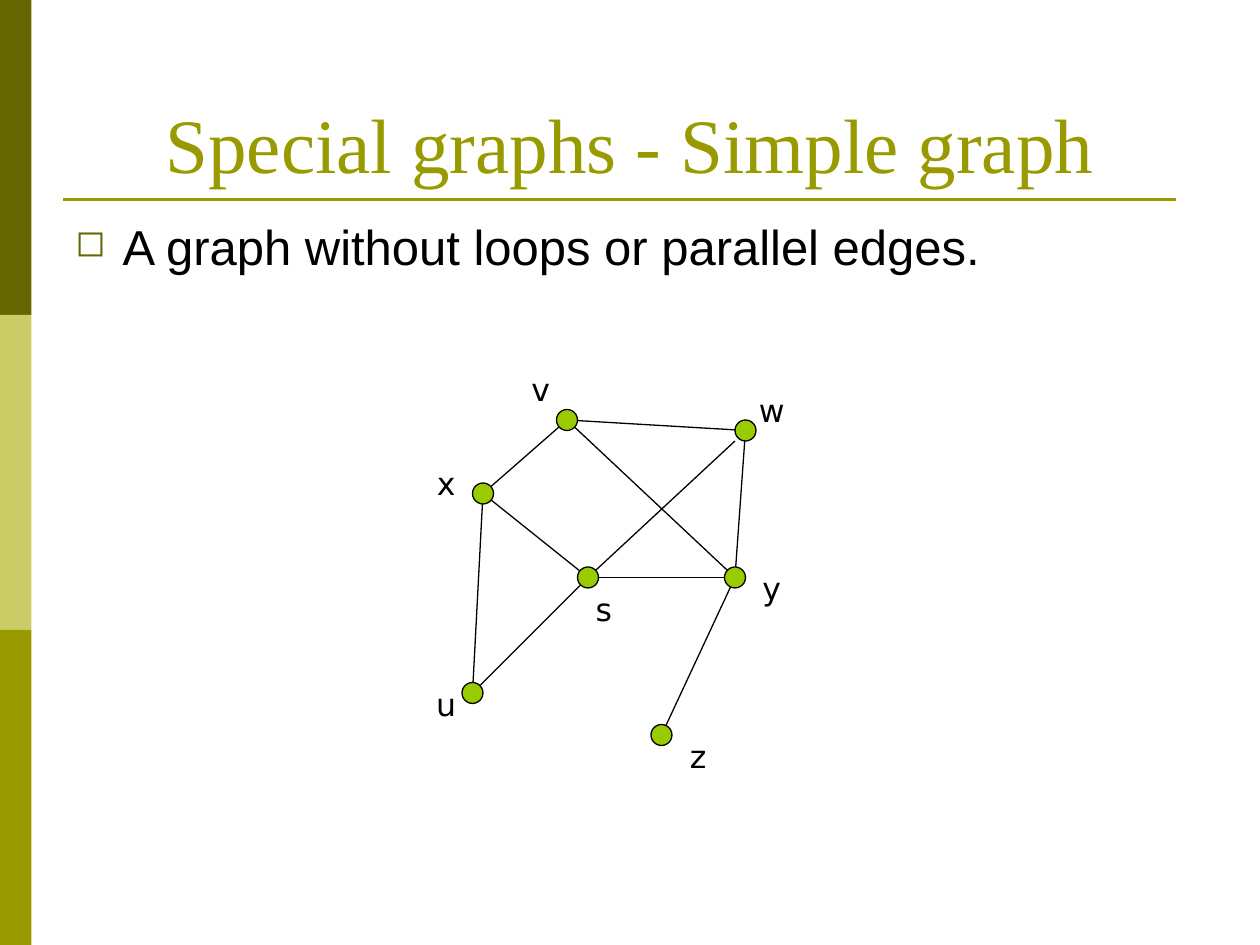
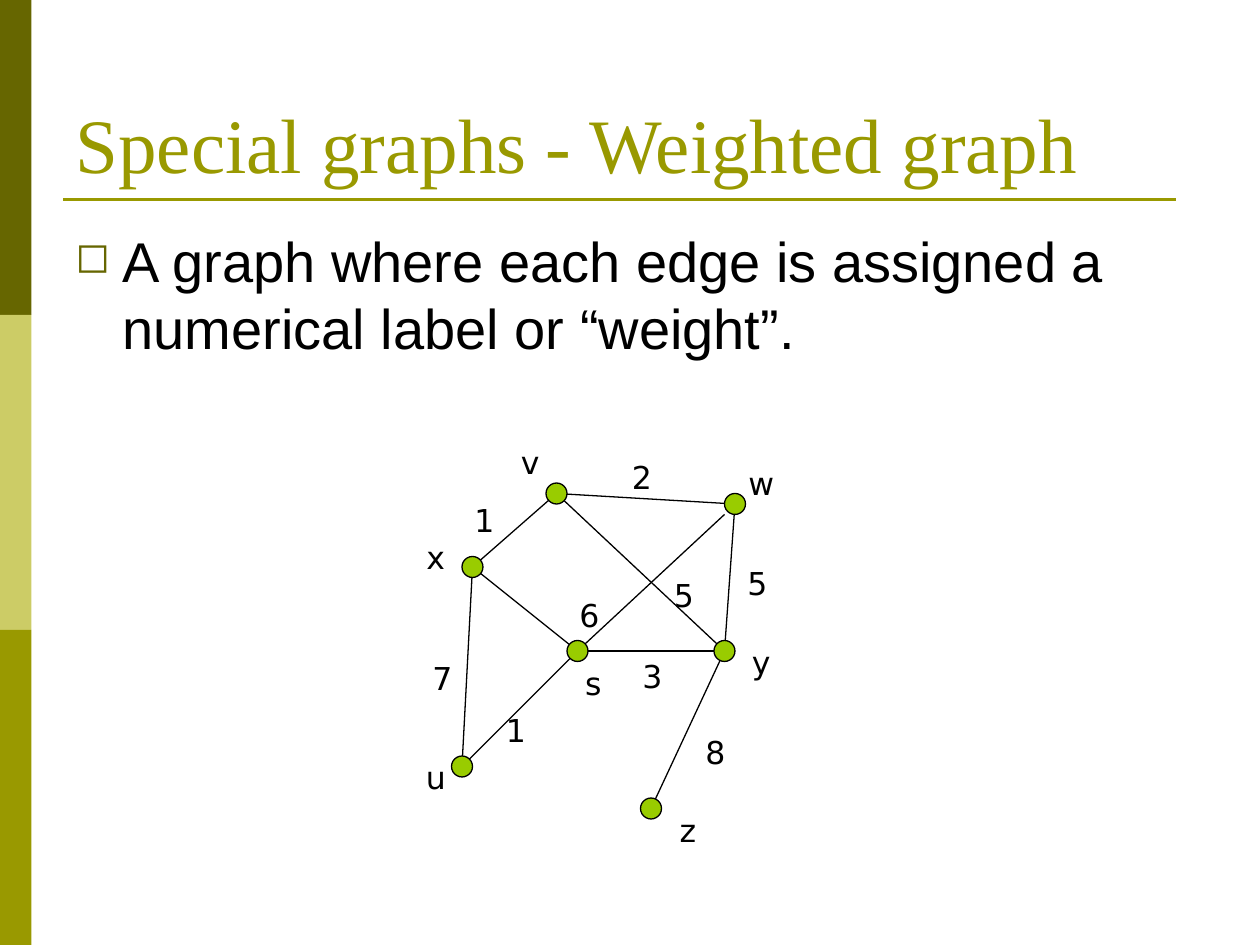
from lxml import etree
from pptx import Presentation
from pptx.dml.color import RGBColor
from pptx.enum import shapes, text
from pptx.oxml import ns
from pptx.util import Pt

OLIVE, DARK, PALE, LIME, BLACK = "999900", "666600", "CCCC66", "99CC00", "000000"
SERIF, SANS, LABEL = "Times New Roman", "Arial", "DejaVu Sans"
LEFT, CENTER = text.PP_ALIGN.LEFT, text.PP_ALIGN.CENTER
TOP, MIDDLE, BOTTOM = (text.MSO_ANCHOR.TOP, text.MSO_ANCHOR.MIDDLE,
                       text.MSO_ANCHOR.BOTTOM)

BANDS = [DARK, PALE, OLIVE]
NODES = {
    "s": (336, 330), "v": (324, 240), "w": (426, 246), "y": (420, 330),
    "z": (378, 420), "u": (270, 396), "x": (276, 282),
}
TAGS = {
    "s": (0, 6), "v": (-24, -30), "w": (6, -24), "y": (12, -6),
    "z": (12, 0), "u": (-24, -6), "x": (-30, -18),
}
EDGES = ["ux", "sy", "sw", "vy", "yw", "zy", "su", "xs", "xv", "wv"]
SHORT = {"sw": (-6, 6)}
WEIGHTS = [
    ("2", 354, 258), ("5", 420, 319), ("8", 396, 415.5),
    ("1", 264, 283), ("5", 378, 325.5), ("6", 324, 337),
    ("7", 240, 373), ("1", 282, 403), ("3", 360, 372),
]
SLIDES = [
    dict(title="Special graphs - Simple graph", align=CENTER,
         body="A graph without loops or parallel edges.",
         box=(36, 120, 636, 315), size=28, gap=7, shift=(0, 0), weights=[]),
    dict(title="Special graphs - Weighted graph", align=LEFT,
         body="A graph where each edge is assigned a numerical label or “weight”.",
         box=(36, 126, 648, 356), size=32, gap=8, shift=(-6, 42),
         weights=WEIGHTS),
]


def rgb(code):
    return RGBColor.from_string(code)


def pts(*nums):
    return [Pt(n) for n in nums]


def write(shape, words, font, size, color=BLACK, align=LEFT, anchor=TOP,
          wrap=True, gap=0):
    frame = shape.text_frame
    frame.text = words
    frame.auto_size = text.MSO_AUTO_SIZE.NONE
    frame.word_wrap = wrap
    frame.vertical_anchor = anchor
    para = frame.paragraphs[0]
    para.alignment = align
    para.space_before = Pt(gap)
    face = para.runs[0].font
    face.name, face.size = font, Pt(size)
    face.color.rgb = rgb(color)
    return para


def label(slide, words, box, **style):
    return write(slide.shapes.add_textbox(*pts(*box)), words, LABEL, 18, **style)


def bullet(para):
    props = para._p.get_or_add_pPr()
    props.set("marL", str(Pt(27)))
    props.set("indent", str(Pt(-27)))
    tint = etree.SubElement(props, ns.qn("a:buClr"))
    etree.SubElement(tint, ns.qn("a:srgbClr"), val=DARK)
    etree.SubElement(props, ns.qn("a:buSzPct"), val="75000")
    etree.SubElement(props, ns.qn("a:buChar"), char="◻")


def block(slide, kind, box, fill, edge=None):
    shape = slide.shapes.add_shape(kind, *pts(*box))
    shape.shadow.inherit = False
    shape.fill.solid()
    shape.fill.fore_color.rgb = rgb(fill)
    if edge:
        shape.line.color.rgb = rgb(edge)
        shape.line.width = Pt(0.75)
    else:
        shape.line.fill.background()


def line(slide, start, end, color=BLACK, width=0.75):
    wire = slide.shapes.add_connector(shapes.MSO_CONNECTOR.STRAIGHT,
                                      *pts(*start, *end))
    wire.line.color.rgb = rgb(color)
    wire.line.width = Pt(width)
    etree.SubElement(wire._element.spPr, ns.qn("a:effectLst"))


def move(point, step):
    return point[0] + step[0], point[1] + step[1]


def frame(slide, data):
    for row, color in enumerate(BANDS):
        block(slide, shapes.MSO_SHAPE.RECTANGLE, (0, row * 180, 18, 180), color)
    line(slide, (36, 114), (672, 114), OLIVE, 1.5)
    title = slide.shapes.title
    title.left, title.top, title.width, title.height = pts(36, 21.6, 648, 90)
    write(title, data["title"], SERIF, 44, OLIVE, data["align"], BOTTOM)
    body = slide.shapes.add_textbox(*pts(*data["box"]))
    bullet(write(body, data["body"], SANS, data["size"], gap=data["gap"]))


def graph(slide, shift):
    spots = {name: move(spot, shift) for name, spot in NODES.items()}
    for edge in EDGES:
        end = move(spots[edge[1]], SHORT.get(edge, (0, 0)))
        line(slide, spots[edge[0]], end)
    for name, spot in spots.items():
        block(slide, shapes.MSO_SHAPE.FLOWCHART_CONNECTOR,
              (*move(spot, (-6, -6)), 12, 12), LIME, BLACK)
        label(slide, name, (*move(spot, TAGS[name]), 18, 24),
              align=CENTER, anchor=MIDDLE, wrap=False)


def main():
    deck = Presentation()
    deck.slide_width, deck.slide_height = pts(720, 540)
    for data in SLIDES:
        slide = deck.slides.add_slide(deck.slide_layouts[5])
        frame(slide, data)
        graph(slide, data["shift"])
        for words, left, top in data["weights"]:
            label(slide, words, (left, top, 24, 29), gap=11.2)
    deck.save("out.pptx")


if __name__ == "__main__":
    main()
